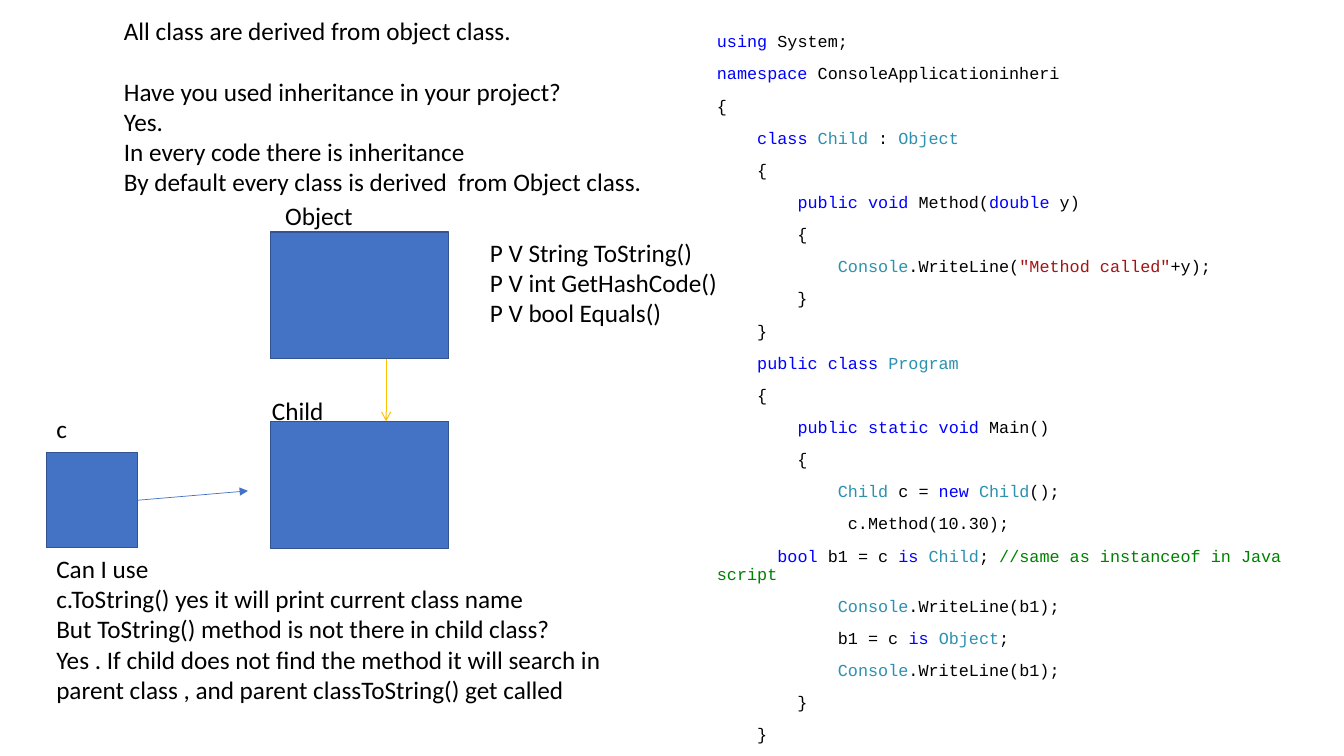
from lxml.etree import SubElement
from pptx import Presentation
from pptx.dml.color import RGBColor
from pptx.enum.shapes import MSO_CONNECTOR, MSO_SHAPE
from pptx.enum.text import MSO_ANCHOR, MSO_AUTO_SIZE
from pptx.oxml.ns import qn
from pptx.util import Inches, Pt

deck = Presentation()
deck.slide_width, deck.slide_height = Inches(13.33), Inches(7.5)


def percent(*shares):
    sides = (deck.slide_width, deck.slide_height)
    return [int(sides[i % 2] * share / 100) for i, share in enumerate(shares)]


def apply(target, color, formats):
    for name, value in formats.items():
        setattr(target, name, value)
    target.color.rgb = RGBColor.from_string(color)


CODE_FONT = {"name": "Courier New", "size": Pt(12)}
NOTE_FONT = {"name": "Calibri", "size": Pt(18)}
CODE_FRAME = {"word_wrap": True, "auto_size": MSO_AUTO_SIZE.NONE,
              "vertical_anchor": MSO_ANCHOR.TOP}
KEYWORDS = "using namespace class public void double static new bool is".split()
TOKEN_COLORS = dict.fromkeys(KEYWORDS, "0000FF")
TOKEN_COLORS |= dict.fromkeys(["Child", "Object", "Program", "Console"], "2B91AF")
TOKEN_COLORS |= {'"Method called"': "A31515",
                 "//same as instanceof in Java script": "008000"}

PROGRAM = """using| System;
namespace| ConsoleApplicationinheri
{
    |class| |Child| : |Object
    {
        |public| |void| Method(|double| y)
        {
            |Console|.WriteLine(|"Method called"|+y);
        }
    }
    |public| |class| |Program
    {
        |public| |static| |void| Main()
        {
            |Child| c = |new| |Child|();
             c.Method(10.30);
      |bool| b1 = c |is| |Child|; |//same as instanceof in Java script
            |Console|.WriteLine(b1);
            b1 = c |is| |Object|;
            |Console|.WriteLine(b1);
        }
    }"""

slide = deck.slides.add_slide(deck.slide_layouts[1])
title, listing = slide.placeholders
title.element.getparent().remove(title.element)
listing.left, listing.top, listing.width, listing.height = percent(52.59, 3.73, 45.16, 86.4)
for name, value in CODE_FRAME.items():
    setattr(listing.text_frame, name, value)

for row, line in enumerate(PROGRAM.split("\n")):
    paragraph = listing.text_frame.add_paragraph() if row else listing.text_frame.paragraphs[0]
    properties = paragraph._p.get_or_add_pPr()
    properties.set("marL", "0")
    properties.set("indent", "0")
    SubElement(properties, qn("a:buNone"))
    paragraph.line_spacing = 0.9
    paragraph.space_before = Pt(10 if row else 0)
    for token in line.split("|"):
        run = paragraph.add_run()
        run.text = token
        apply(run.font, TOKEN_COLORS.get(token, "000000"), CODE_FONT)

boxes = {}
for class_name, area in {
    "Object": (20.11, 30.67, 13.28, 16.8),
    "Child": (20.11, 55.73, 13.28, 16.8),
    "c": (3.45, 59.87, 6.8, 12.6),
}.items():
    box = boxes[class_name] = slide.shapes.add_shape(MSO_SHAPE.RECTANGLE, *percent(*area))
    box.shadow.inherit = False
    box.fill.solid()
    box.fill.fore_color.rgb = RGBColor.from_string("4472C4")
    apply(box.line, "325491", {"width": Pt(1)})

arrows = []
for ends, color, width, head in [
    ((28.73, 47.47, 28.73, 55.73), "FFC000", 0.75, "arrow"),
    ((10.25, 66.17, 18.45, 64.93), "4472C4", 0.5, "triangle"),
]:
    arrow = slide.shapes.add_connector(MSO_CONNECTOR.STRAIGHT, *percent(*ends))
    apply(arrow.line, color, {"width": Pt(width)})
    SubElement(arrow.line._get_or_add_ln(), qn("a:tailEnd"), type=head)
    SubElement(arrow._element.spPr, qn("a:effectLst"))
    arrows.append(arrow)
inheritance_arrow, reference_arrow = arrows
reference_arrow.begin_connect(boxes["c"], 3)

INTRO = ["All class are derived from object class.",
         "Have you used inheritance in your project?",
         "Yes.",
         "In every code there is inheritance",
         "By default every class is derived  from Object class."]
METHODS = ["P V String ToString()", "P V int GetHashCode()", "P V bool Equals()"]
ANSWER = ["Can I use",
          "c.ToString() yes it will print current class name",
          "But ToString() method is not there in child class?",
          "Yes . If child does not find the method it will search in "
          "parent class , and parent classToString() get called"]

for lines, area in [
    (INTRO, (8.48, 1.33, 40.51, 25.6)),
    (["c"], (3.45, 54, 5.03, 5.33)),
    (["Object"], (20.48, 25.87, 12.6, 5.33)),
    (["Child"], (19.5, 51.6, 8.18, 5.33)),
    (METHODS, (35.71, 30.67, 21.16, 13.47)),
    (ANSWER, (3.45, 72.53, 46.51, 21.6)),
]:
    note = slide.shapes.add_textbox(*percent(*area)).text_frame
    note.word_wrap = True
    note.text = "\n".join(lines)
    for paragraph in note.paragraphs:
        apply(paragraph.runs[0].font, "000000", NOTE_FONT)
    if lines is INTRO:
        note.paragraphs[1].space_before = Pt(22)

deck.save("out.pptx")
